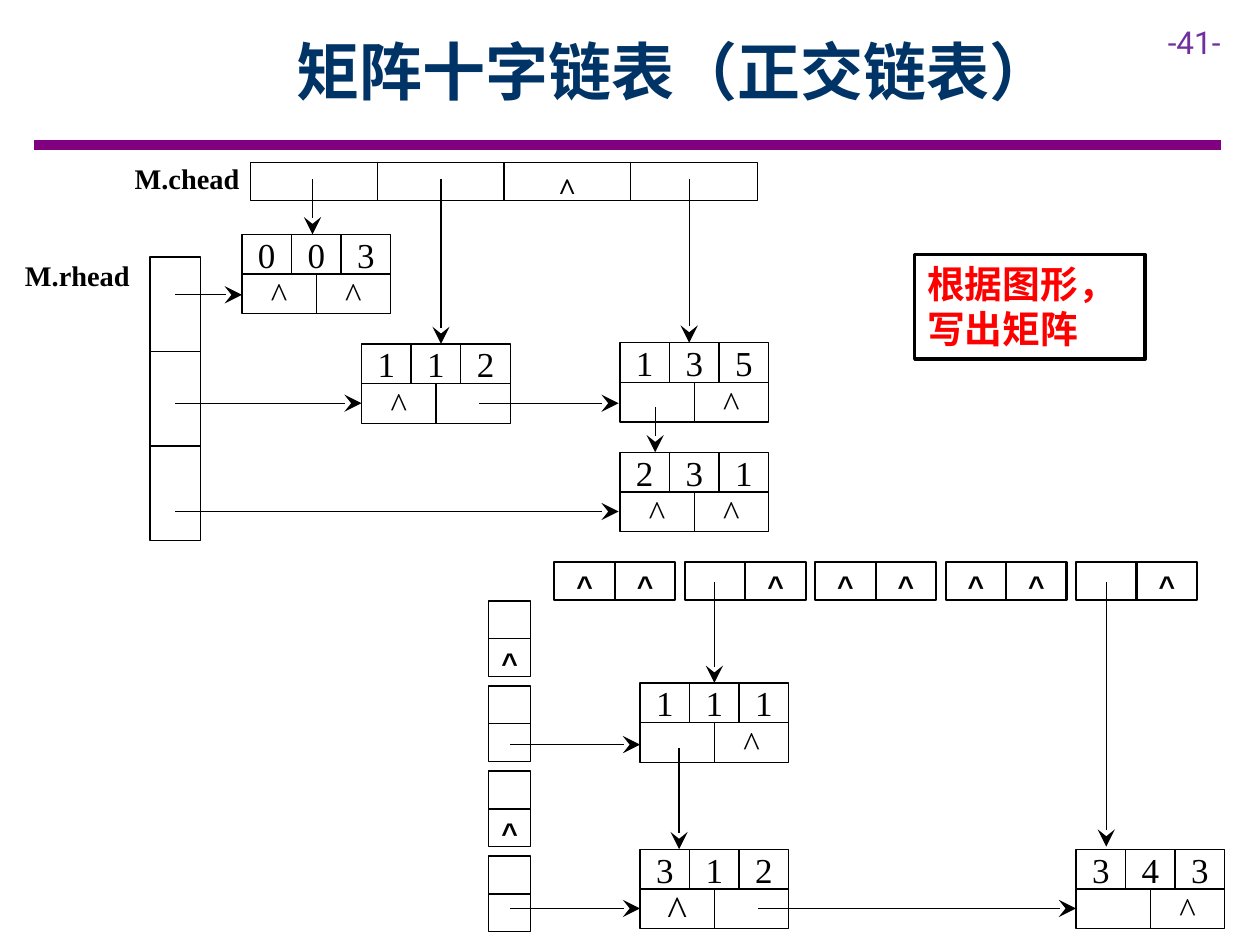
import pptx
import pptx.util
import pptx.dml.color
import pptx.enum.shapes
import pptx.enum.text
import pptx.oxml
import pptx.oxml.ns
from lxml import etree

Inches, Pt = pptx.util.Inches, pptx.util.Pt
Align, Anchor = pptx.enum.text.PP_ALIGN, pptx.enum.text.MSO_ANCHOR

THEME = {
    "black": "000000", "white": "FFFFFF", "rule": "800080",
    "hair": 0.75, "cell": 1.25, "box": 2, "bar": 6,
    # style: font, size, bold, colour
    "title": ("Noto Sans CJK SC", 36, True, "003366"),
    "task": ("Noto Sans CJK SC", 21.6, True, "FF0000"),
    "page": ("Roboto", 18, False, "7030A0"),
    "label": ("Times New Roman", 16.2, True, "000000"),
    "null": ("Times New Roman", 18, True, "000000"),
    "mark": ("Arial", 16.2, True, "000000"),
    "node": ("Times New Roman", 20, False, "000000"),
    "large": ("Times New Roman", 24, False, "000000"),
}

# text, style, place, alignment, anchor, wrap
TEXTS = [
    ("-41-", "page", (9.17, 0.13, 0.83, 0.4), Align.LEFT, Anchor.TOP, True),
    ("M.chead", "label", (0.97, 1.23, 1.04, 0.37), Align.LEFT, Anchor.MIDDLE, False),
    ("M.rhead", "label", (0.1, 2, 1.04, 0.37), Align.LEFT, Anchor.TOP, False),
    ("矩阵十字链表（正交链表）", "title", (0.75, 0.22, 9.21, 0.68),
     Align.CENTER, Anchor.MIDDLE, True),
]
TASK = "根据图形，写出矩阵"

COL_HEADS = ["", "", "^", ""]
ROW_HEADS = ["", "", ""]
COL_PAIRS = [("^", "^"), ("", "^"), ("^", "^"), ("^", "^"), ("", "^")]
ROW_PAIRS = [("", "^"), ("", ""), ("", "^"), ("", "")]

# left, top, (row, column, value), (down, right), style of the links
NODES = [
    (1.92, 1.86, "003", ("^", "^"), "node"),
    (4.92, 3.59, "231", ("^", "^"), "node"),
    (4.92, 2.72, "135", ("", "^"), "node"),
    (2.87, 2.73, "112", ("^", ""), "node"),
    (5.08, 5.42, "111", ("", "^"), "node"),
    (5.08, 6.74, "312", ("^", ""), "large"),
    (8.54, 6.74, "343", ("", "^"), "node"),
]
NODE_W, NODE_H = 1.18, 0.63

# from x, from y, to x, to y
ARROWS = [
    (1.39, 2.34, 1.92, 2.34), (2.48, 1.42, 2.48, 1.86),
    (5.47, 1.42, 5.47, 2.72), (3.5, 1.42, 3.5, 2.73),
    (1.39, 3.2, 2.87, 3.2), (1.39, 4.06, 4.91, 4.06),
    (3.8, 3.2, 4.91, 3.2), (5.2, 3.23, 5.2, 3.59),
    (5.67, 4.62, 5.67, 5.42), (4.05, 5.91, 5.08, 5.91),
    (5.39, 5.94, 5.39, 6.74), (4.05, 7.21, 5.08, 7.21),
    (6.02, 7.21, 8.54, 7.21), (8.78, 4.62, 8.78, 6.72),
]


def color(code):
    return pptx.dml.color.RGBColor.from_string(code)


def write(shape, text, style, align=Align.CENTER):
    name, size, bold, code = THEME[style]
    par = shape.text_frame.paragraphs[0]
    par.text = text
    par.alignment = align
    font = par.font
    font.name, font.size, font.bold = name, Pt(size), bold
    font.color.rgb = color(code)
    props = par._p.pPr.find(pptx.oxml.ns.qn("a:defRPr"))
    etree.SubElement(props, pptx.oxml.ns.qn("a:ea"), typeface=name)


def add_text(shapes, text, style, place, align, anchor, wrap):
    box = shapes.add_textbox(*map(Inches, place))
    box.text_frame.word_wrap = wrap
    box.text_frame.vertical_anchor = anchor
    write(box, text, style, align)


def add_rect(shapes, place, width, fill=True):
    rect = shapes.add_shape(pptx.enum.shapes.MSO_SHAPE.RECTANGLE, *map(Inches, place))
    rect.shadow.inherit = False
    if fill:
        rect.fill.solid()
        rect.fill.fore_color.rgb = color(THEME["white"])
    else:
        rect.fill.background()
    rect.line.color.rgb = color(THEME["black"])
    rect.line.width = Pt(width)
    rect.text_frame.word_wrap = True
    rect.text_frame.vertical_anchor = Anchor.TOP
    return rect


def add_cell(shapes, text, place, width, style):
    cell = add_rect(shapes, place, width)
    if text:
        write(cell, text, style)


def add_node(shapes, left, top, digits, links, style):
    """Draw one element: three numbers above two links."""
    group = shapes.add_group_shape().shapes
    high = NODE_H / 2
    for row, (items, look) in enumerate([(digits, "node"), (links, style)]):
        wide = NODE_W / len(items)
        for i, text in enumerate(items):
            place = (left + i * wide, top + row * high, wide, high)
            cell = add_rect(group, place, THEME["hair"], fill=False)
            if text:
                frame = cell.text_frame
                frame.vertical_anchor = Anchor.MIDDLE
                frame.margin_left = frame.margin_right = Inches(0.04)
                frame.margin_top = frame.margin_bottom = Inches(0.1)
                write(cell, text, look)


def add_line(shapes, ends, code, width, arrow=True):
    line = shapes.add_connector(pptx.enum.shapes.MSO_CONNECTOR.STRAIGHT, *map(Inches, ends))
    line.line.color.rgb = color(code)
    line.line.width = Pt(width)
    if arrow:
        etree.SubElement(line.line._get_or_add_ln(), pptx.oxml.ns.qn("a:tailEnd"),
                         type="stealth", w="lg", len="lg")
    etree.SubElement(line._element.spPr, pptx.oxml.ns.qn("a:effectLst"))


def main():
    deck = pptx.Presentation()
    deck.slide_width, deck.slide_height = Inches(10), Inches(7.5)
    shapes = deck.slides.add_slide(deck.slide_layouts[6]).shapes
    hair = THEME["hair"]

    add_line(shapes, (0.27, 1.15, 9.69, 1.15), THEME["rule"], THEME["bar"], arrow=False)
    task = add_rect(shapes, (7.26, 2.02, 1.83, 0.83), THEME["box"])
    write(task, TASK, "task", Align.LEFT)

    for i, text in enumerate(COL_HEADS):
        add_cell(shapes, text, (1.99 + i * 1.005, 1.29, 1.005, 0.3), hair, "null")
    heads = shapes.add_group_shape().shapes
    for i, text in enumerate(ROW_HEADS):
        add_cell(heads, text, (1.19, 2.04 + i * 0.75, 0.4, 0.75), hair, "null")

    for i, pair in enumerate(COL_PAIRS):
        for j, text in enumerate(pair):
            place = (4.4 + i * 1.035 + j * 0.48, 4.46, 0.48, 0.3)
            add_cell(shapes, text, place, THEME["cell"], "mark")
    for i, pair in enumerate(ROW_PAIRS):
        for j, text in enumerate(pair):
            place = (3.88, 4.77 + i * 0.675 + j * 0.3, 0.33, 0.3)
            add_cell(shapes, text, place, hair, "mark")

    for node in NODES:
        add_node(shapes, *node)
    for ends in ARROWS:
        add_line(shapes, ends, THEME["black"], hair)
    for item in TEXTS:
        add_text(shapes, *item)

    deck.save("out.pptx")


if __name__ == "__main__":
    main()
